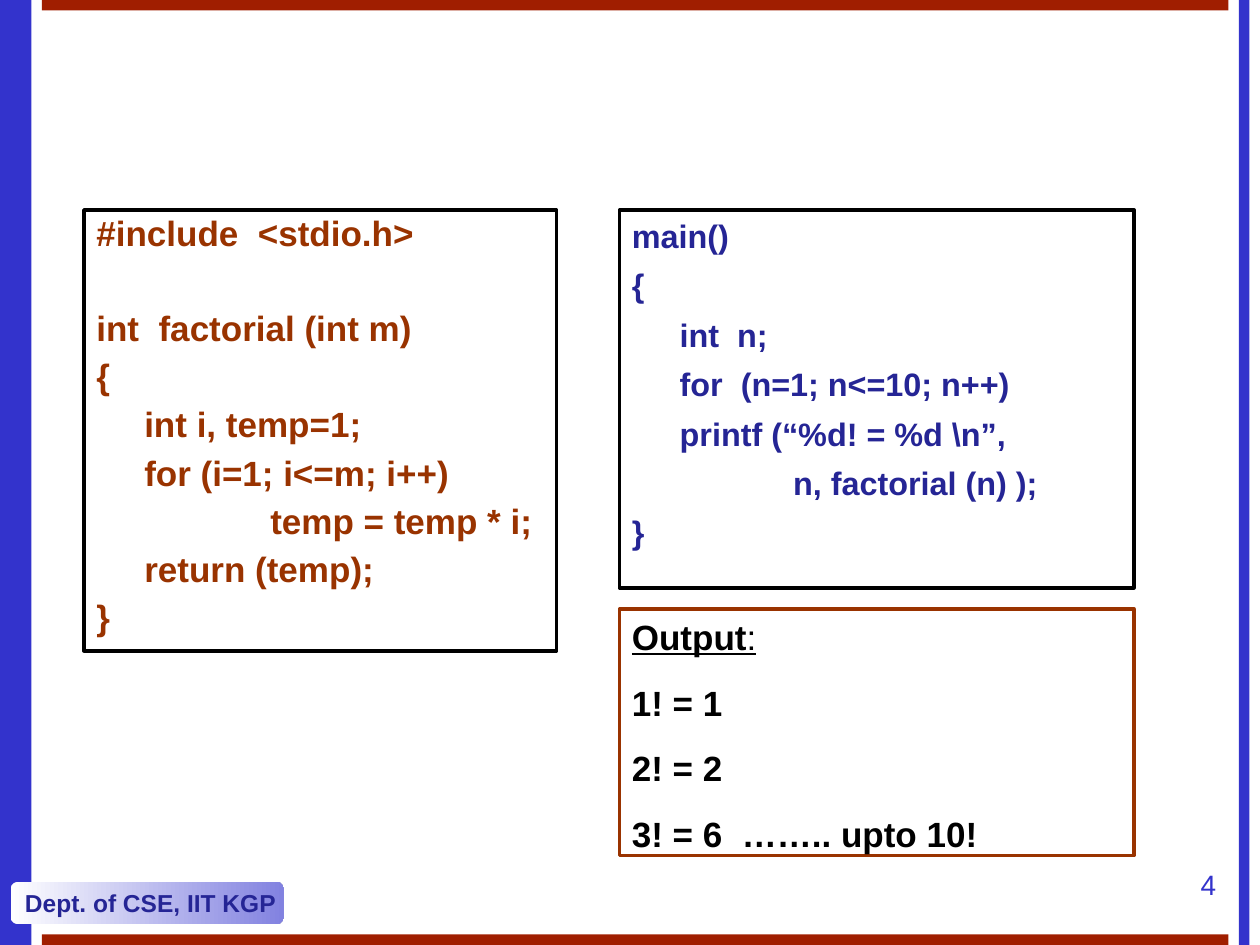
import pptx
import pptx.util
import pptx.dml.color
import pptx.enum.shapes
import pptx.enum.text

RGBColor = pptx.dml.color.RGBColor
Pt = pptx.util.Pt
Shape = pptx.enum.shapes.MSO_SHAPE
Align = pptx.enum.text.PP_ALIGN
Anchor = pptx.enum.text.MSO_ANCHOR

BLUE = RGBColor(0x33, 0x33, 0xCC)
NAVY = RGBColor(0x25, 0x25, 0x95)
LAVENDER = RGBColor(0x82, 0x82, 0xE0)
RED = RGBColor(0xA0, 0x1E, 0x00)
BROWN = RGBColor(0x99, 0x33, 0x00)
BLACK = RGBColor(0x00, 0x00, 0x00)
WHITE = RGBColor(0xFF, 0xFF, 0xFF)

COLUMNS, ROWS = 120, 90
TAB = 0.38

FACTORIAL = [
    (0, "#include  <stdio.h>"),
    (0, "int  factorial (int m)"),
    (0, "{"),
    (TAB, "int i, temp=1;"),
    (TAB, "for (i=1; i<=m; i++)"),
    (1.38, "temp = temp * i;"),
    (TAB, "return (temp);"),
    (0, "}"),
]
MAIN = [
    (0, "main()"),
    (0, "{"),
    (TAB, "int  n;"),
    (TAB, "for  (n=1; n<=10; n++)"),
    (TAB, "printf (“%d! = %d \\n”,"),
    (1.28, "n, factorial (n) );"),
    (0, "}"),
]
RESULTS = ["1! = 1", "2! = 2", "3! = 6  …….. upto 10!"]


class Deck:
    """Draws styled elements on the current slide, placed by grid column and row."""

    font = "Arial"

    def __init__(self):
        self.prs = pptx.Presentation()
        self.prs.slide_width = pptx.util.Inches(10)
        self.prs.slide_height = pptx.util.Inches(7.5)
        self.s = self.prs.slides.add_slide(self.prs.slide_layouts[6])

    def place(self, col, row, cols, rows):
        x = self.prs.slide_width / COLUMNS
        y = self.prs.slide_height / ROWS
        return int(col * x), int(row * y), int(cols * x), int(rows * y)

    def bar(self, grid, color):
        sp = self.s.shapes.add_shape(Shape.RECTANGLE, *self.place(*grid))
        sp.shadow.inherit = False
        sp.fill.solid()
        sp.fill.fore_color.rgb = color
        sp.line.fill.background()

    def frame(self, grid, color):
        sp = self.s.shapes.add_shape(Shape.RECTANGLE, *self.place(*grid))
        sp.shadow.inherit = False
        sp.fill.background()
        sp.line.color.rgb = color
        sp.line.width = Pt(2)
        sp.text_frame.word_wrap = True
        sp.text_frame.vertical_anchor = Anchor.TOP
        return sp.text_frame

    def badge(self, grid, text):
        sp = self.s.shapes.add_shape(Shape.ROUNDED_RECTANGLE, *self.place(*grid))
        sp.shadow.inherit = False
        sp.line.fill.background()
        sp.fill.gradient()
        sp.fill.gradient_angle = 0
        for stop, color in zip(sp.fill.gradient_stops, (WHITE, LAVENDER)):
            stop.color.rgb = color
        tf = sp.text_frame
        tf.word_wrap = False
        tf.vertical_anchor = Anchor.MIDDLE
        self.run(self.paragraph(tf), text, 14, NAVY)

    def label(self, grid, text):
        tf = self.s.shapes.add_textbox(*self.place(*grid)).text_frame
        tf.word_wrap = True
        self.run(self.paragraph(tf, align=Align.RIGHT), text, 16, BLUE, bold=False)

    def paragraph(self, tf, indent=0, before=0, spacing=1.0, align=Align.LEFT):
        p = tf.paragraphs[0]
        if p.runs:
            p = tf.add_paragraph()
            p.space_before = Pt(before)
        p.alignment = align
        p.line_spacing = spacing
        if indent:
            p._p.get_or_add_pPr().set("marL", str(pptx.util.Inches(indent)))
        return p

    def run(self, p, text, size, color, bold=True, underline=False):
        r = p.add_run()
        r.text = text
        r.font.name = self.font
        r.font.size = Pt(size)
        r.font.color.rgb = color
        r.font.bold = bold
        r.font.underline = underline

    def code(self, grid, lines, size, color, spacing=1.0, gap_before=None):
        tf = self.frame(grid, BLACK)
        for indent, text in lines:
            before = 32.5 if text == gap_before else 6
            self.run(self.paragraph(tf, indent, before, spacing), text, size, color)

    def output(self, grid, heading, lines):
        tf = self.frame(grid, BROWN)
        p = self.paragraph(tf)
        self.run(p, heading, 20, BLACK, underline=True)
        self.run(p, ":", 20, BLACK, bold=False, underline=True)
        for text in lines:
            self.run(self.paragraph(tf, before=13.6), text, 20, BLACK)


def main():
    deck = Deck()
    for col, cols in ((0, 3), (118, 1)):
        deck.bar((col, 0, cols, ROWS), BLUE)
    for row in (0, ROWS - 1):
        deck.bar((4, row, 113, 1), RED)
    deck.badge((1, 84, 26, 4), "Dept. of CSE, IIT KGP")
    deck.code((8, 20, 45, 42), FACTORIAL, 20, BROWN, 0.9, "int  factorial (int m)")
    deck.code((59, 20, 49, 36), MAIN, 18.5, NAVY)
    deck.output((59, 58, 49, 23.5), "Output", RESULTS)
    deck.label((110, 82, 7, 6), "4")
    deck.prs.save("out.pptx")


if __name__ == "__main__":
    main()
